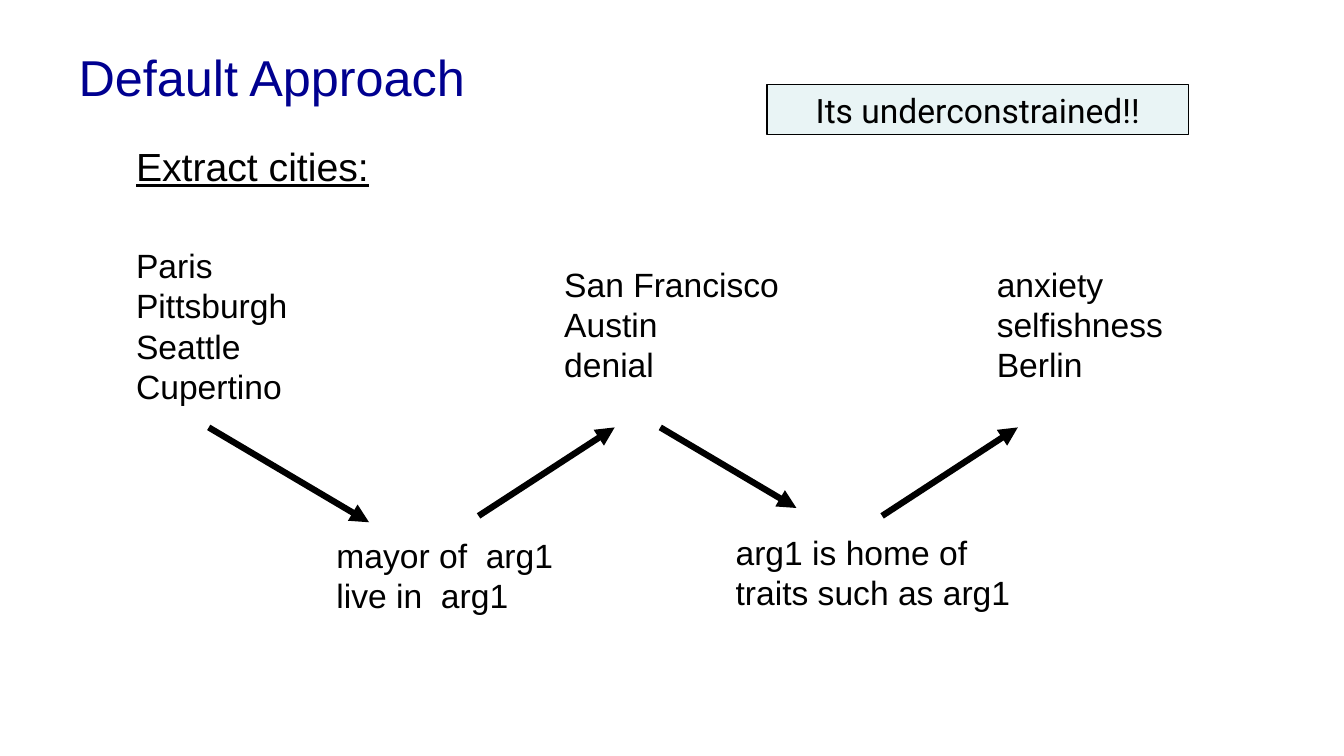
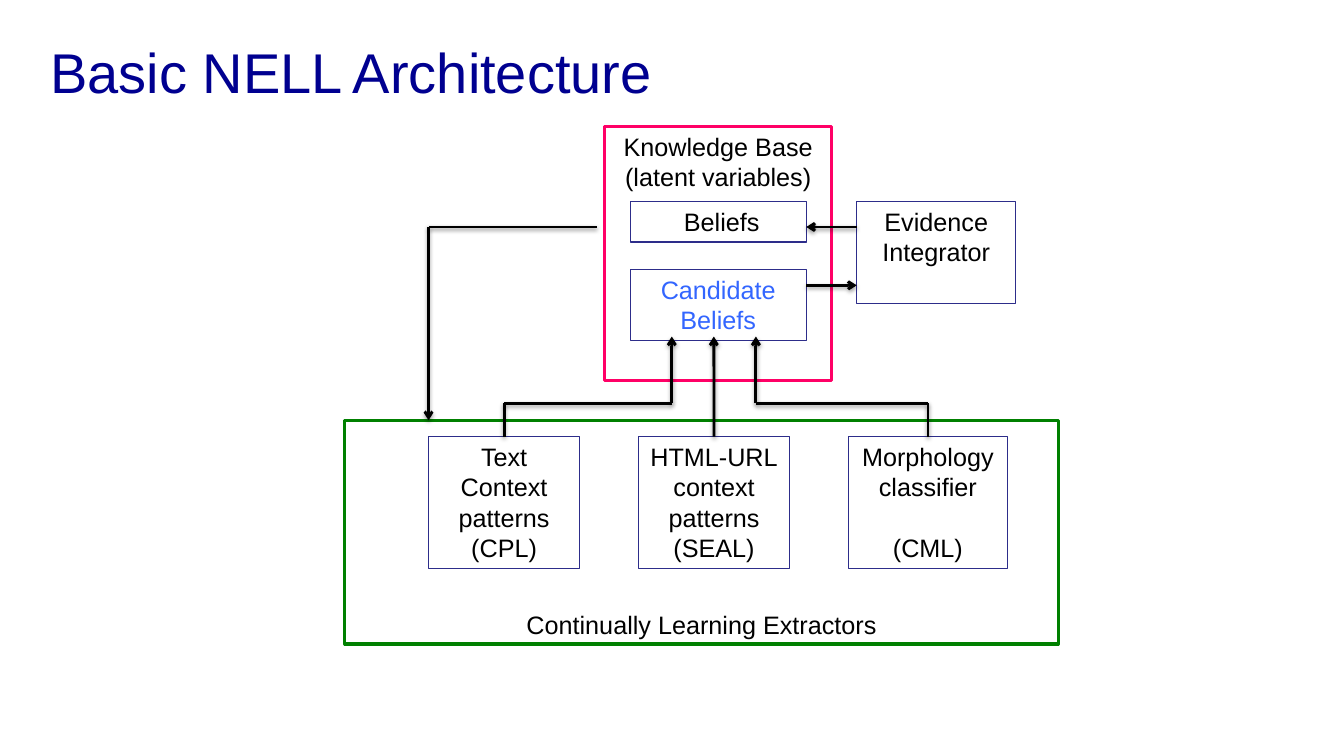
from dataclasses import dataclass

from lxml import etree
from pptx import Presentation
from pptx import util as u
from pptx.dml.color import RGBColor
from pptx.enum import shapes, text
from pptx.oxml import ns


@dataclass(frozen=True)
class Theme:
    # Colours
    title: str = "000090"
    ink: str = "000000"
    box_line: str = "2D2D8A"
    knowledge: str = "FF0066"
    extractors: str = "008000"
    candidate: str = "3366FF"
    callout: str = "E9F4F5"
    # Fonts and type sizes
    font: str = "Arial"
    callout_font: str = "Roboto"
    heading: int = 28
    body: int = 24
    label: int = 18
    # Line widths
    thin: float = 0.75
    frame: float = 2.25
    flow: float = 2
    bold: float = 4.5


class Deck:
    def __init__(self, theme):
        self.theme = theme
        self.slide = None
        self.presentation = Presentation()
        self.presentation.slide_width = u.Cm(33.87)
        self.presentation.slide_height = u.Cm(19.05)

    def new_slide(self, title, area, size):
        layout = self.presentation.slide_layouts[6]
        self.slide = self.presentation.slides.add_slide(layout)
        self.words(title, area, size, self.theme.title)

    def set_text(self, shape, content, size, color=None, font=None,
                 align=text.PP_ALIGN.LEFT, anchor=text.MSO_ANCHOR.MIDDLE):
        frame = shape.text_frame
        frame.word_wrap = True
        frame.vertical_anchor = anchor
        frame.text = content
        for paragraph in frame.paragraphs:
            paragraph.alignment = align
            for run in paragraph.runs:
                run.font.name = font or self.theme.font
                run.font.size = u.Pt(size)
                run.font.color.rgb = RGBColor.from_string(color or self.theme.ink)

    def words(self, content, area, size=None, color=None):
        box = self.slide.shapes.add_textbox(*map(u.Cm, area))
        self.set_text(box, content, size or self.theme.body, color)
        return box

    def box(self, content, area, line=None, width=None, fill=None, size=None,
            color=None, font=None, anchor=text.MSO_ANCHOR.TOP):
        shape = self.slide.shapes.add_shape(
            shapes.MSO_SHAPE.RECTANGLE, *map(u.Cm, area))
        shape.shadow.inherit = False
        if fill:
            shape.fill.solid()
            shape.fill.fore_color.rgb = RGBColor.from_string(fill)
        else:
            shape.fill.background()
        shape.line.color.rgb = RGBColor.from_string(line or self.theme.box_line)
        shape.line.width = u.Pt(width or self.theme.thin)
        self.set_text(shape, content, size or self.theme.label, color, font,
                      text.PP_ALIGN.CENTER, anchor)
        return shape

    def line(self, start, end, width, head=None, shadow=False):
        connector = self.slide.shapes.add_connector(
            shapes.MSO_CONNECTOR.STRAIGHT, *map(u.Cm, (*start, *end)))
        connector.line.color.rgb = RGBColor.from_string(self.theme.ink)
        connector.line.width = u.Pt(width)
        if head:
            etree.SubElement(connector.get_or_add_ln(),
                             ns.qn("a:tailEnd"), type=head)
        effects = etree.SubElement(connector._element.spPr, ns.qn("a:effectLst"))
        if shadow:
            outer = etree.SubElement(
                effects, ns.qn("a:outerShdw"), blurRad=str(u.Pt(3.1)),
                dist=str(u.Pt(1.6)), dir="5400000", rotWithShape="0")
            tint = etree.SubElement(outer, ns.qn("a:srgbClr"), val=self.theme.ink)
            etree.SubElement(tint, ns.qn("a:alpha"), val="38000")
        return connector

    def route(self, *points):
        """Draw a chain of shadowed segments with an arrowhead on the last."""
        last = len(points) - 2
        return [self.line(start, end, self.theme.flow,
                          "arrow" if i == last else None, shadow=True)
                for i, (start, end) in enumerate(zip(points, points[1:]))]


def default_approach(deck):
    theme = deck.theme
    deck.new_slide("Default Approach", (1.73, 0.94, 23.06, 1.96), 36)
    heading = deck.words("Extract cities:", (3.18, 3.45, 8.81, 1.45), theme.heading)
    heading.text_frame.paragraphs[0].runs[0].font.underline = True
    deck.box("Its underconstrained!!", (19.33, 2.13, 10.62, 1.27), line=theme.ink,
             fill=theme.callout, size=theme.body, font=theme.callout_font)

    # Extracted instances above, learned patterns below
    for content, area in (
        ("Paris\nPittsburgh\nSeattle\nCupertino", (3.18, 6.02, 7.9, 4.37)),
        ("San Francisco\nAustin\ndenial", (13.97, 6.5, 10.82, 3.33)),
        ("anxiety\nselfishness\nBerlin", (24.87, 6.5, 7.49, 3.33)),
        ("mayor of  arg1\nlive in  arg1", (8.23, 13.34, 10.9, 2.31)),
        ("arg1 is home of\ntraits such as arg1", (18.29, 13.26, 13.56, 2.31)),
    ):
        deck.words(content, area)

    # Zigzag between instances and patterns
    upper, lower = 10.77, 13
    for start, end in (
        ((5.26, upper), (9.3, 13.16)),
        ((12.06, lower), (15.49, upper)),
        ((16.64, upper), (20.07, 12.8)),
        ((22.23, lower), (25.65, upper)),
    ):
        deck.line(start, end, theme.bold, "triangle")


def nell_architecture(deck):
    theme = deck.theme
    deck.new_slide("Basic NELL Architecture", (1.02, 0.79, 22.86, 1.98), 40)

    # Frames
    deck.box("Continually Learning Extractors", (8.69, 10.59, 17.98, 5.64),
             theme.extractors, theme.frame, anchor=text.MSO_ANCHOR.BOTTOM)
    deck.box("Knowledge Base\n(latent variables)", (15.24, 3.18, 5.72, 6.4),
             theme.knowledge, theme.frame)

    # Knowledge base contents and integrator
    store_left, store_width = 15.88, 4.44
    store_right, integrator_left = store_left + store_width, 21.59
    beliefs = deck.box("Beliefs", (store_left, 5.08, store_width, 1.02))
    beliefs.text_frame.margin_left = u.Cm(0.43)
    deck.box("Candidate\nBeliefs", (store_left, 6.78, store_width, 1.8),
             color=theme.candidate)
    deck.box("Evidence Integrator", (integrator_left, 5.08, 4.01, 2.57))

    # Extractors, each feeding the candidate beliefs
    first_left, step, top = 10.8, 5.29, 11
    bend, landing, middle, spread = 10.16, 8.48, 17.99, 1.06
    extractors = (
        ("Text Context patterns\n(CPL)", 3.81),
        ("HTML-URL\ncontext patterns\n(SEAL)", 3.81),
        ("Morphology\nclassifier\n(CML)", 4.01),
    )
    for i, (content, width) in enumerate(extractors):
        left = first_left + i * step
        extractor = deck.box(content, (left, top, width, 3.33))
        start, end = left + width / 2, middle + (i - 1) * spread
        bends = [(start, bend), (end, bend)] if i != 1 else []
        segments = deck.route((start, top), *bends, (end, landing))
        segments[0].begin_connect(extractor, 0)
    extractor.text_frame.paragraphs[-1].space_before = u.Pt(21.5)

    # Exchange with the integrator and feedback to the extractors
    belief_level, candidate_level = 5.72, 7.19
    deck.route((integrator_left, belief_level), (store_right, belief_level))
    deck.route((store_right, candidate_level), (integrator_left, candidate_level))
    deck.route((15.04, belief_level), (first_left, belief_level), (first_left, 10.59))


def main():
    deck = Deck(Theme())
    default_approach(deck)
    nell_architecture(deck)
    deck.presentation.save("out.pptx")


if __name__ == "__main__":
    main()
